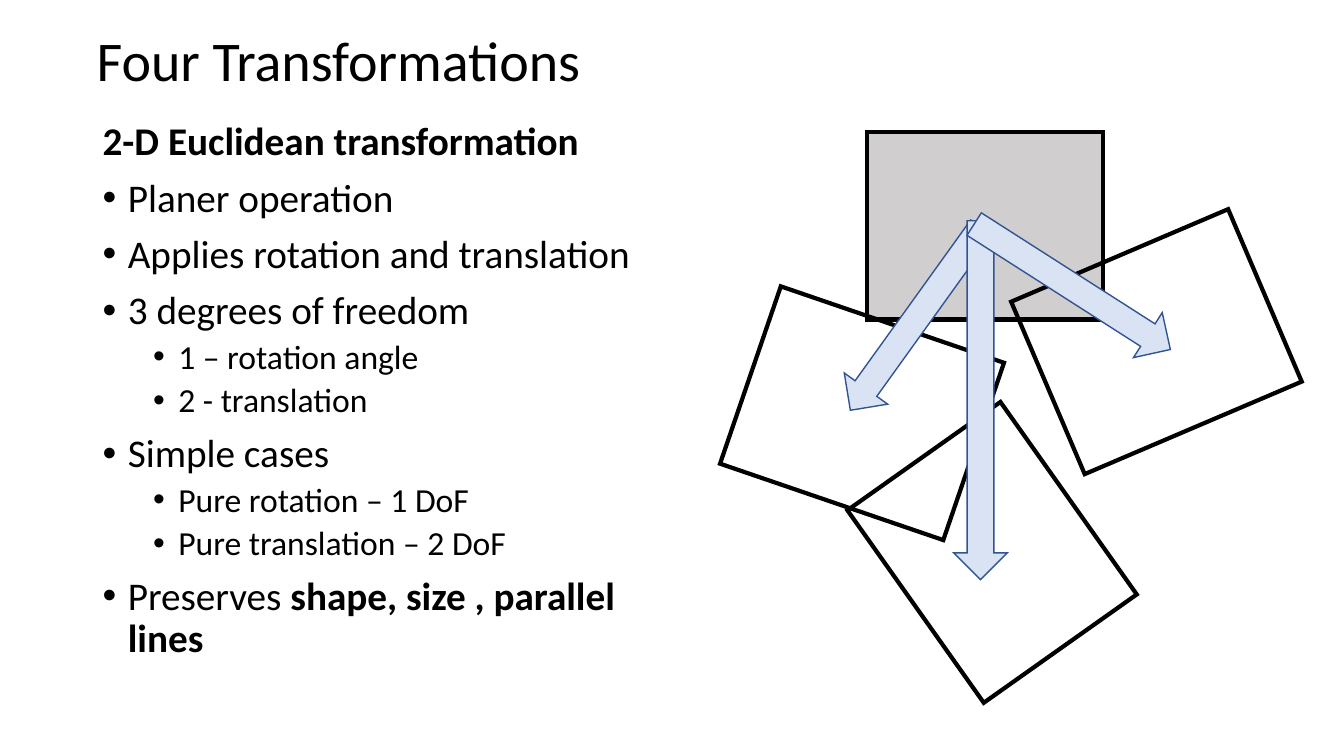
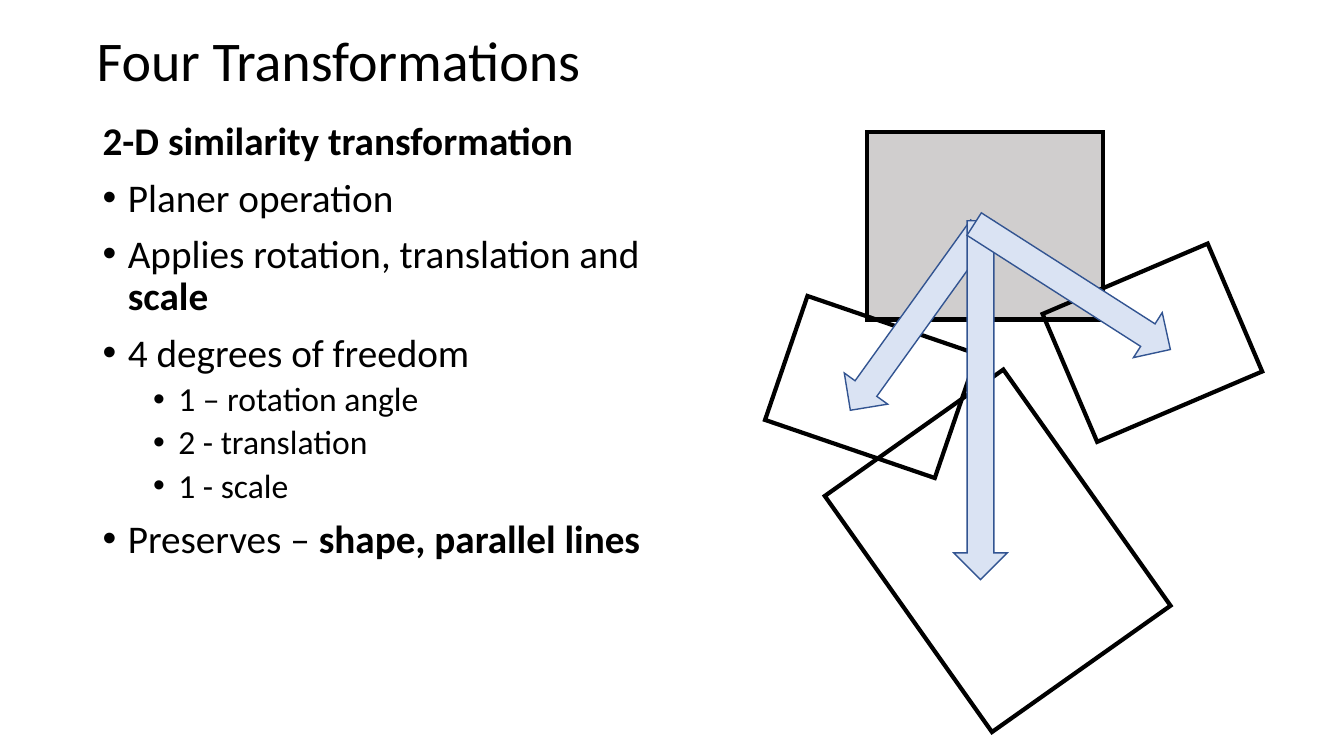
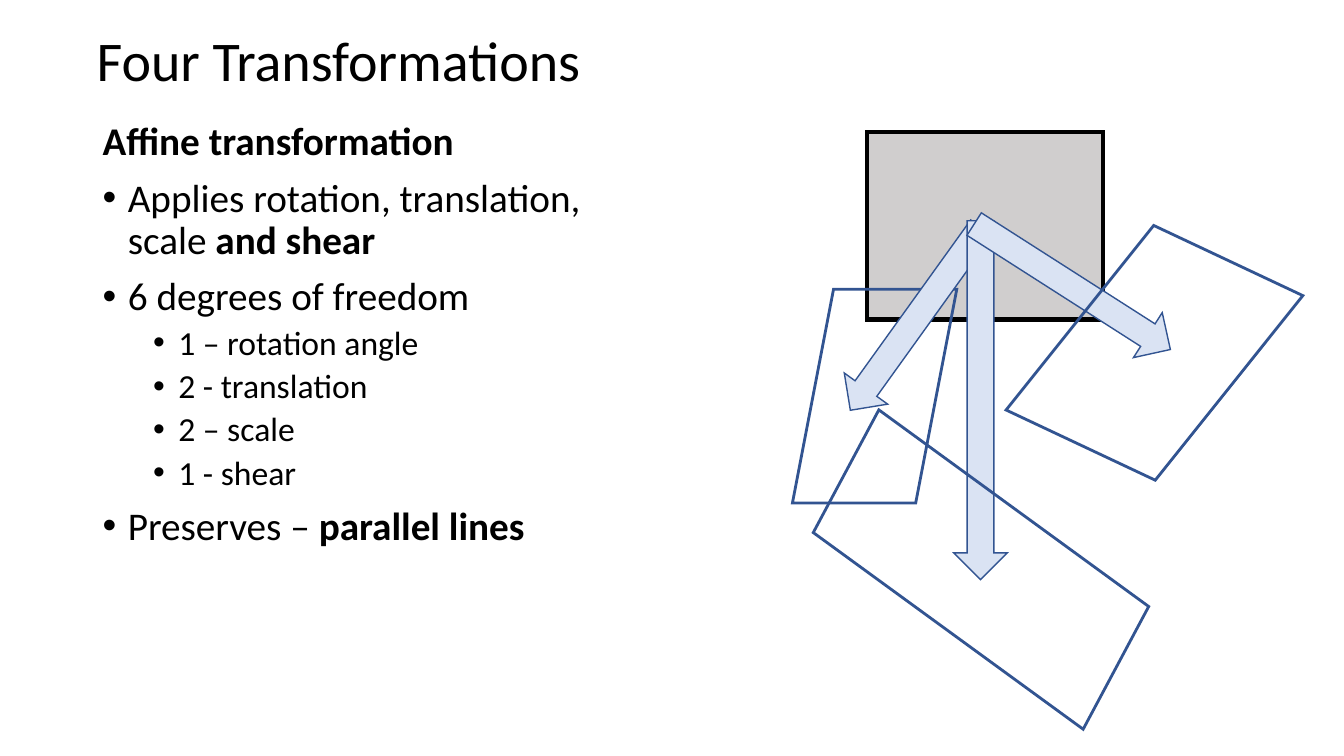
from dataclasses import dataclass
from typing import NamedTuple, Optional

from lxml.etree import SubElement
from pptx import Presentation
from pptx.dml.color import RGBColor
from pptx.enum.shapes import MSO_SHAPE as Shape
from pptx.enum.text import MSO_ANCHOR as Anchor
from pptx.oxml.ns import qn
from pptx.util import Inches, Pt

FONT = "Calibri"
BLACK, GREY, BLUE, PALE_BLUE = "000000", "D0CECE", "325491", "DAE3F3"
TITLE = "Four Transformations"


class Box(NamedTuple):
    left: float
    top: float
    width: float
    height: float


class TextLevel(NamedTuple):
    size: int
    space_before: int
    indent: float = 0
    bullet: bool = False


TITLE_BOX = Box(0.86, 0.15, 11.5, 0.95)
BODY_BOX = Box(0.92, 1.16, 5.66, 5.9)

TITLE_LEVEL = TextLevel(40, 0)
HEADING = TextLevel(28, 10)
POINT = TextLevel(28, 10, 0.25, True)
SUBPOINT = TextLevel(24, 5, 0.75, True)
HANGING = 0.25


class Line(NamedTuple):
    """One paragraph; text between asterisks is bold."""
    text: str
    level: TextLevel = POINT


@dataclass
class Figure:
    kind: Shape
    box: Box
    rotation: float = 0
    fill: Optional[str] = None
    outline: str = BLACK
    weight: float = 3


def moved_frame(left: float, top: float, width: float, height: float, rotation: float) -> Figure:
    return Figure(Shape.RECTANGLE, Box(left, top, width, height), rotation)


def sheared_frame(left: float, top: float, width: float, height: float, rotation: float = 0) -> Figure:
    return Figure(Shape.PARALLELOGRAM, Box(left, top, width, height), rotation, None, BLUE, 2)


def arrow(left: float, top: float, height: float, rotation: float = 0) -> Figure:
    return Figure(Shape.DOWN_ARROW, Box(left, top, 0.53, height), rotation, PALE_BLUE, BLUE, 1)


SOURCE_FRAME = Figure(Shape.RECTANGLE, Box(8.6, 1.31, 2.34, 1.86), fill=GREY)
ARROWS = [arrow(8.82, 2.05, 2.23, 35.7), arrow(9.46, 2.19, 3.56), arrow(10.37, 1.69, 2.31, 302.6)]

PLANAR = Line("Planer operation")
ROTATION_ANGLE = Line("1 – rotation angle", SUBPOINT)
TRANSLATION = Line("2 - translation", SUBPOINT)


@dataclass
class Transformation:
    lines: list[Line]
    under_arrows: list[Figure]
    over_arrows: list[Figure]


TRANSFORMATIONS = [
    Transformation(
        [
            Line("*2-D Euclidean transformation*", HEADING),
            PLANAR,
            Line("Applies rotation and translation"),
            Line("3 degrees of freedom"),
            ROTATION_ANGLE,
            TRANSLATION,
            Line("Simple cases"),
            Line("Pure rotation – 1 DoF", SUBPOINT),
            Line("Pure translation – 2 DoF", SUBPOINT),
            Line("Preserves *shape, size , parallel lines*"),
        ],
        [
            moved_frame(10.3, 2.46, 2.34, 1.86, 336.9),
            moved_frame(8.67, 4.55, 2.34, 1.86, 54.7),
            moved_frame(7.38, 3.17, 2.34, 1.86, 18.9),
        ],
        [],
    ),
    Transformation(
        [
            Line("*2-D similarity transformation*", HEADING),
            PLANAR,
            Line("Applies rotation, translation and *scale*"),
            Line("4 degrees of freedom"),
            ROTATION_ANGLE,
            TRANSLATION,
            Line("1 - scale", SUBPOINT),
            Line("Preserves – *shape, parallel lines*"),
        ],
        [
            moved_frame(10.54, 2.71, 1.78, 1.38, 336.9),
            moved_frame(8.46, 4.38, 2.87, 2.17, 54.7),
            moved_frame(7.75, 3.19, 1.78, 1.3, 18.9),
        ],
        [],
    ),
    Transformation(
        [
            Line("*Affine transformation*", HEADING),
            Line("Applies rotation, translation, scale *and shear*"),
            Line("6 degrees of freedom"),
            ROTATION_ANGLE,
            TRANSLATION,
            Line("2 – scale", SUBPOINT),
            Line("1 - shear", SUBPOINT),
            Line("Preserves – *parallel lines*"),
        ],
        [sheared_frame(7.86, 2.87, 1.63, 2.12)],
        [
            sheared_frame(8.81, 4.01, 1.84, 3.28, 298.1),
            sheared_frame(10.36, 2.36, 2.18, 2.28, 205.2),
        ],
    ),
]


def rgb(value: str) -> RGBColor:
    return RGBColor.from_string(value)


def set_all(target, values: dict) -> None:
    for attribute, value in values.items():
        setattr(target, attribute, value)


def add_bullet(paragraph, indent: float) -> None:
    properties = paragraph._p.get_or_add_pPr()
    properties.set("marL", str(Inches(indent)))
    properties.set("indent", str(-Inches(HANGING)))
    SubElement(properties, qn("a:buFont"), typeface="Arial")
    SubElement(properties, qn("a:buChar"), char="•")


def write_line(paragraph, line: Line) -> None:
    level = line.level
    set_all(paragraph, {"line_spacing": 0.9, "space_before": Pt(level.space_before)})
    if level.bullet:
        add_bullet(paragraph, level.indent)
    for index, part in enumerate(line.text.split("*")):
        if part:
            run = paragraph.add_run()
            run.text = part
            set_all(run.font, {"name": FONT, "size": Pt(level.size), "bold": index % 2 == 1})
            run.font.color.rgb = rgb(BLACK)


def add_text(slide, box: Box, lines: list[Line], anchor: Anchor = Anchor.TOP) -> None:
    frame = slide.shapes.add_textbox(*map(Inches, box)).text_frame
    set_all(frame, {"word_wrap": True, "vertical_anchor": anchor})
    for index, line in enumerate(lines):
        write_line(frame.add_paragraph() if index else frame.paragraphs[0], line)


def add_figure(slide, figure: Figure) -> None:
    shape = slide.shapes.add_shape(figure.kind, *map(Inches, figure.box))
    shape.rotation = figure.rotation
    shape.shadow.inherit = False
    if figure.fill:
        shape.fill.solid()
        shape.fill.fore_color.rgb = rgb(figure.fill)
    else:
        shape.fill.background()
    shape.line.color.rgb = rgb(figure.outline)
    shape.line.width = Pt(figure.weight)
    SubElement(shape.element.spPr.find(qn("a:ln")), qn("a:miter"), lim="800000")


def add_transformation(deck, transformation: Transformation) -> None:
    slide = deck.slides.add_slide(deck.slide_layouts[6])
    add_text(slide, TITLE_BOX, [Line(TITLE, TITLE_LEVEL)], Anchor.MIDDLE)
    add_text(slide, BODY_BOX, transformation.lines)
    for figure in [SOURCE_FRAME, *transformation.under_arrows, *ARROWS, *transformation.over_arrows]:
        add_figure(slide, figure)


def main() -> None:
    deck = Presentation()
    set_all(deck, {"slide_width": Inches(13.33), "slide_height": Inches(7.5)})
    for transformation in TRANSFORMATIONS:
        add_transformation(deck, transformation)
    deck.save("out.pptx")


if __name__ == "__main__":
    main()
